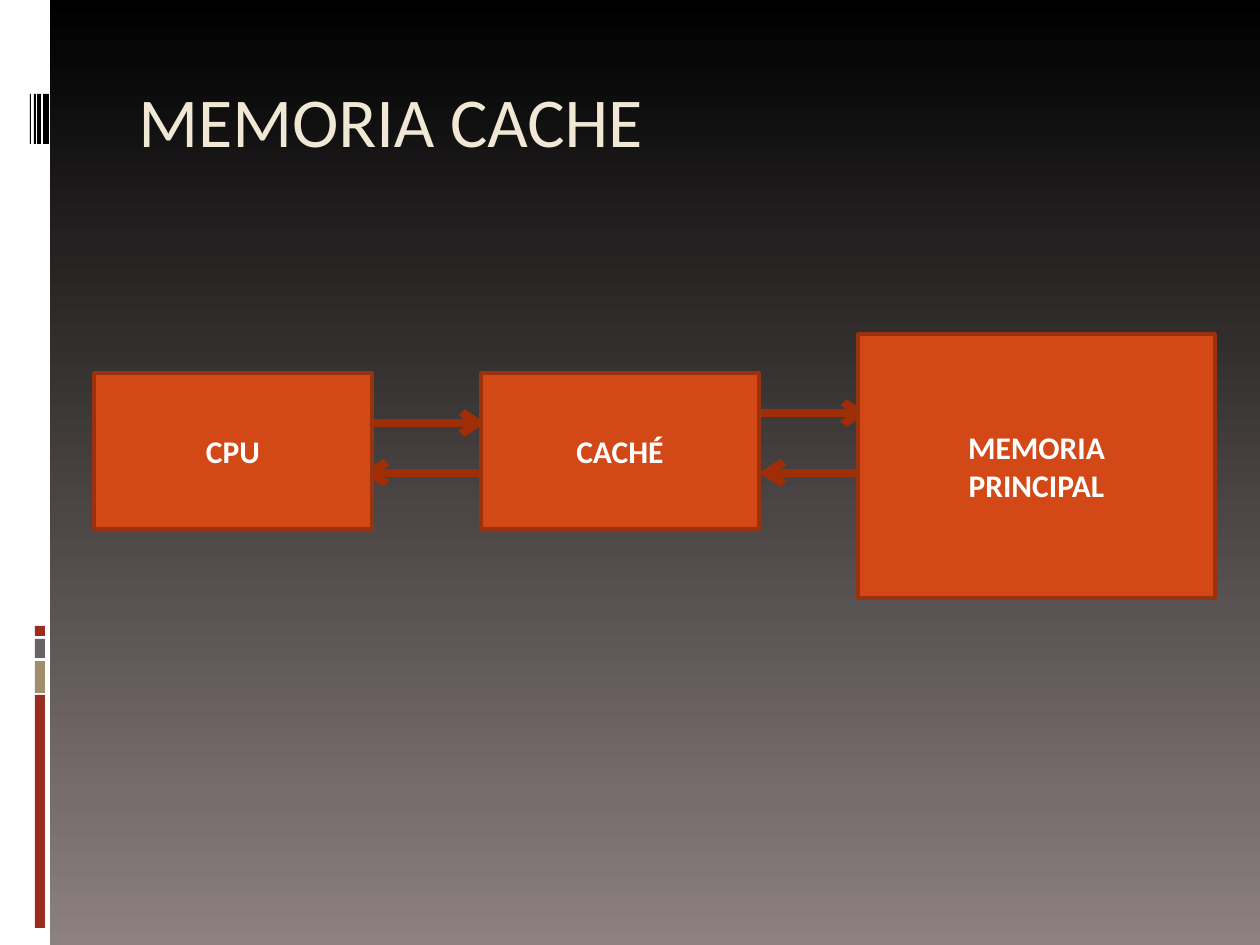
import pptx
import pptx.dml.color
import pptx.enum.shapes
import pptx.enum.text
import pptx.oxml.ns
import pptx.util
from lxml import etree

EMU_PER_PX = 914400 / 126
COLORS = {
    "white": "FFFFFF",
    "black": "000000",
    "haze": "8C8080",
    "brick": "9B2D1F",
    "sand": "A28E6A",
    "gray": "696464",
    "cream": "F0E8D5",
    "orange": "D34817",
    "edge": "9B320E",
    "arrow": "9F2E06",
}


def emu(px):
    return pptx.util.Emu(round(px * EMU_PER_PX))


def rgb(name):
    return pptx.dml.color.RGBColor.from_string(COLORS[name])


class Diagram:
    """Draws styled elements on the current slide."""

    font = "Calibri"

    def __init__(self, slide):
        self.slide = slide
        self.group = None

    def background(self, top, bottom):
        fill = self.slide.background.fill
        fill.gradient()
        fill.gradient_angle = 270
        for stop, position, color in zip(fill.gradient_stops, (0, 1), (top, bottom)):
            stop.position = position
            stop.color.rgb = rgb(color)

    def bar(self, left, top, width, height, color, shapes=None):
        bar = (shapes or self.slide.shapes).add_shape(
            pptx.enum.shapes.MSO_SHAPE.RECTANGLE,
            emu(left), emu(top), emu(width), emu(height))
        bar.shadow.inherit = False
        bar.fill.solid()
        bar.fill.fore_color.rgb = rgb(color)
        bar.line.fill.background()
        return bar

    def add_words(self, paragraph, text, size, color, bold=False):
        run = paragraph.add_run()
        run.text = text
        run.font.name = self.font
        run.font.size = pptx.util.Pt(size)
        run.font.bold = bold
        run.font.color.rgb = rgb(color)

    def title(self, left, top, width, height, text):
        heading = self.slide.shapes.add_textbox(
            emu(left), emu(top), emu(width), emu(height)).text_frame
        heading.word_wrap = True
        self.add_words(heading.paragraphs[0], text, 40, "cream")

    def start_group(self):
        self.group = self.slide.shapes.add_group_shape().shapes

    def arrow(self, start_x, end_x, y):
        arrow = self.group.add_connector(
            pptx.enum.shapes.MSO_CONNECTOR.STRAIGHT,
            emu(start_x), emu(y), emu(end_x), emu(y))
        arrow.line.color.rgb = rgb("arrow")
        arrow.line.width = pptx.util.Pt(4.5)
        qn = pptx.oxml.ns.qn
        properties = arrow._element.spPr
        etree.SubElement(properties.find(qn("a:ln")), qn("a:tailEnd"), type="arrow")
        etree.SubElement(properties, qn("a:effectLst"))

    def unit(self, left, top, width, height, words):
        unit = self.bar(left, top, width, height, "orange", self.group)
        unit.line.color.rgb = rgb("edge")
        unit.line.width = pptx.util.Pt(2)
        label = unit.text_frame
        label.word_wrap = True
        label.vertical_anchor = pptx.enum.text.MSO_ANCHOR.MIDDLE
        for index, word in enumerate(words):
            paragraph = label.add_paragraph() if index else label.paragraphs[0]
            paragraph.alignment = pptx.enum.text.PP_ALIGN.CENTER
            self.add_words(paragraph, word, 18, "white", bold=True)


def main():
    deck = pptx.Presentation()
    deck.slide_width, deck.slide_height = emu(1260), emu(945)
    diagram = Diagram(deck.slides.add_slide(deck.slide_layouts[6]))

    diagram.background("black", "haze")
    diagram.bar(0, 0, 50, 945, "white")
    for top, height, color in ((695, 233, "brick"), (661, 32, "sand"),
                               (639, 19, "gray"), (626, 10, "brick")):
        diagram.bar(35, top, 10, height, color)
    for left, width in ((43, 6), (37, 4), (34, 2), (30, 1)):
        diagram.bar(left, 94, width, 50, "black")

    diagram.title(126, 71, 1071, 126, "MEMORIA CACHE")

    diagram.start_group()
    for start_x, end_x, y in ((730, 868, 413), (898, 759, 473),
                              (362, 486, 423), (486, 362, 473)):
        diagram.arrow(start_x, end_x, y)
    diagram.unit(94, 373, 278, 156, ["CPU"])
    diagram.unit(481, 373, 278, 156, ["CACHÉ"])
    diagram.unit(858, 334, 357, 264, ["MEMORIA", "PRINCIPAL"])

    deck.save("out.pptx")


if __name__ == "__main__":
    main()
